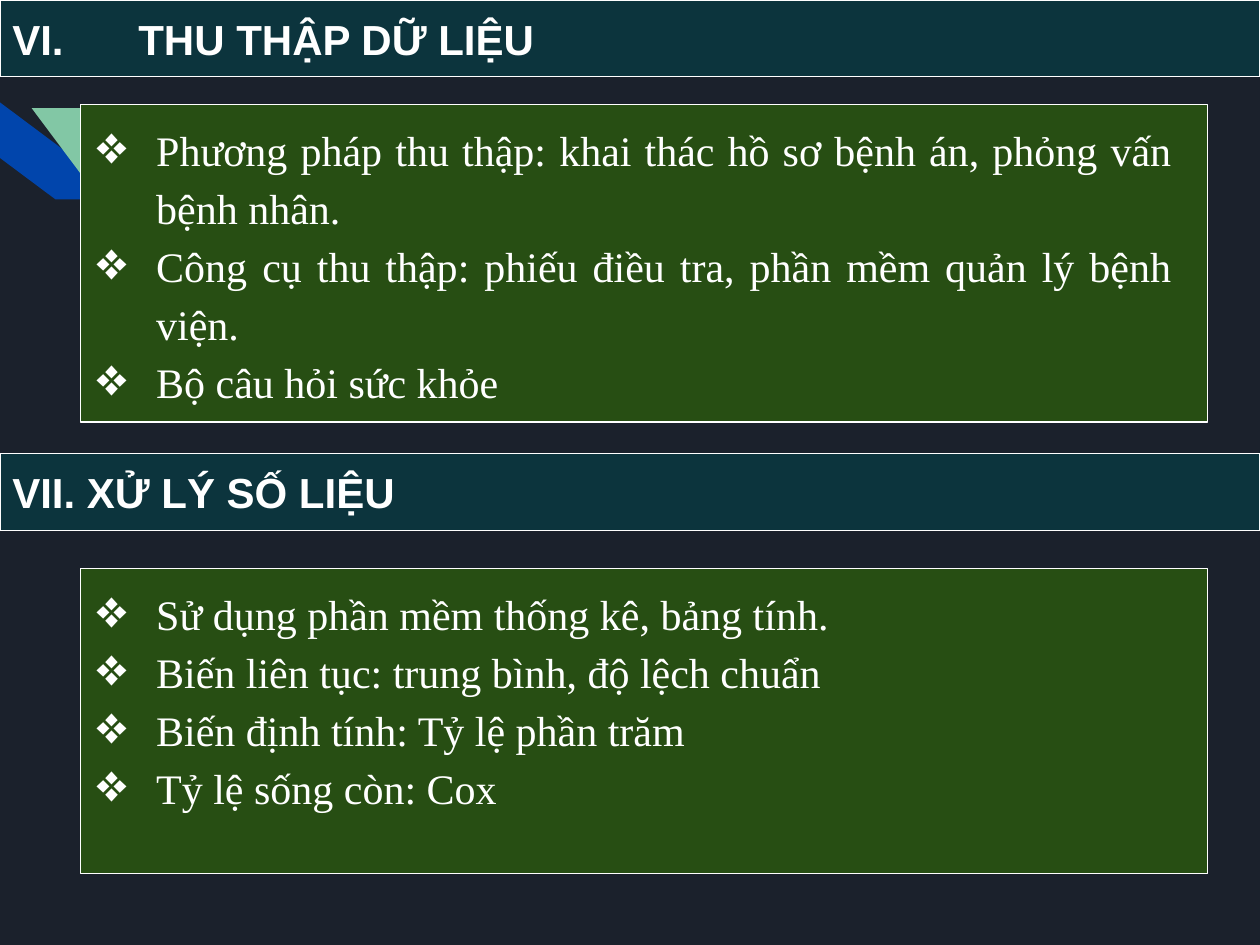
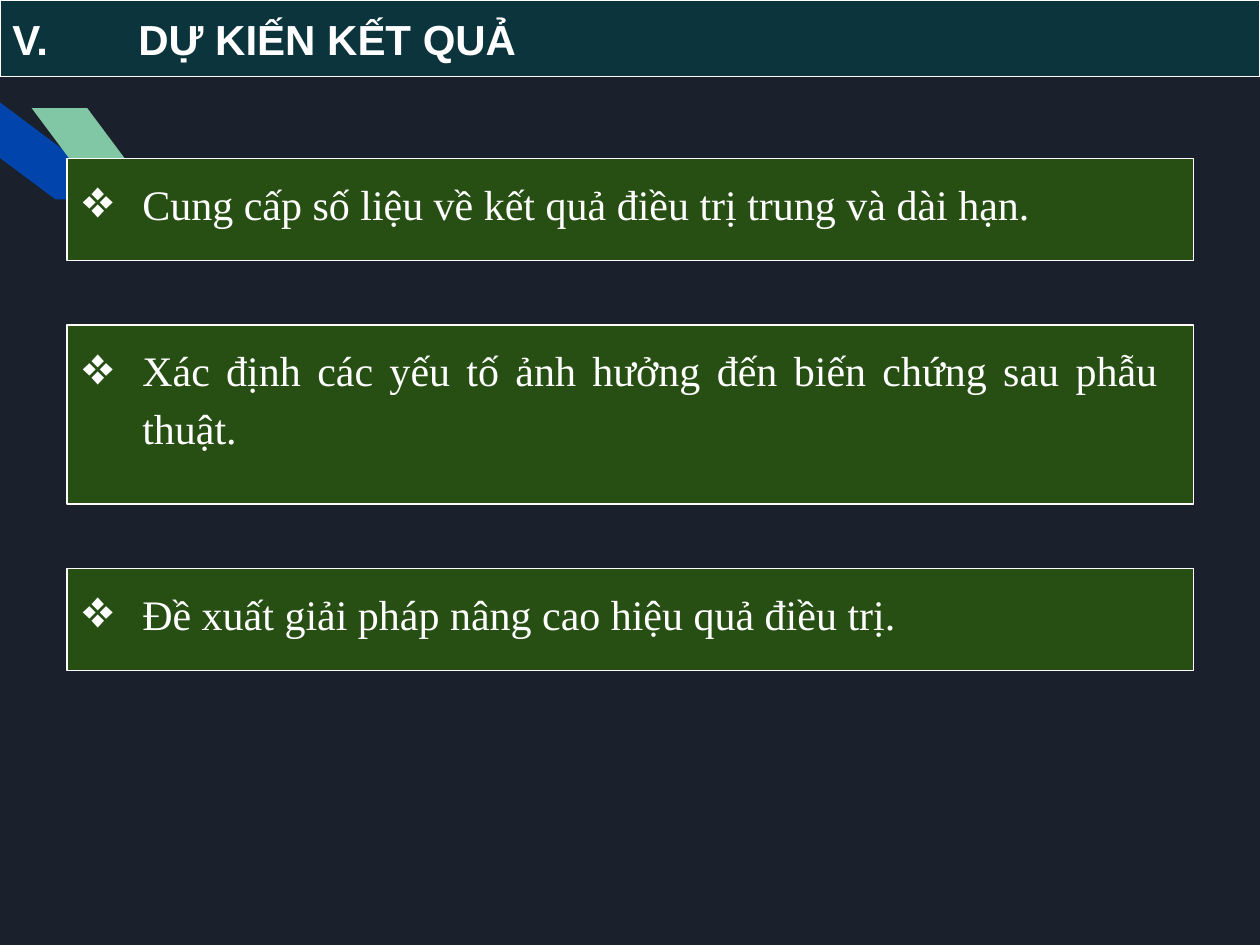
from lxml import etree
from pptx import Presentation
from pptx.dml.color import RGBColor
from pptx.enum.shapes import MSO_SHAPE
from pptx.enum.text import MSO_ANCHOR, PP_ALIGN
from pptx.oxml.ns import qn
from pptx.util import Cm, Pt

RECTANGLE = MSO_SHAPE.RECTANGLE
STRIPE = MSO_SHAPE.DIAGONAL_STRIPE
TOP, MIDDLE = MSO_ANCHOR.TOP, MSO_ANCHOR.MIDDLE
LEFT, JUSTIFY = PP_ALIGN.LEFT, PP_ALIGN.JUSTIFY

COLORS = {
    "background": "1B212C",
    "heading": "0C343D",
    "panel": "274E13",
    "blue": "0145AC",
    "green": "82C7A5",
    "white": "FFFFFF",
}
SLIDE_WIDTH, SLIDE_HEIGHT = 25.4, 19.05
HEADING_HEIGHT = 1.55
PANEL_WIDTH = 22.71
RESULT_TOP, RESULT_GAP = 3.19, 1.3
INDENT, BULLET_OFFSET, RIGHT_MARGIN = Cm(1.27), Cm(-1.23), Cm(0.47)
HEADING_TAB = Cm(2.54)


def add_filled(slide, kind, box, color):
    shape = slide.shapes.add_shape(kind, *[Cm(length) for length in box])
    shape.shadow.inherit = False
    shape.fill.solid()
    shape.fill.fore_color.rgb = RGBColor.from_string(COLORS[color])
    shape.line.fill.background()
    return shape


def add_text_block(slide, box, color, lines, font_name, bulleted):
    block = add_filled(slide, RECTANGLE, box, color)
    block.line.color.rgb = RGBColor.from_string(COLORS["white"])
    block.line.width = Pt(0.75)
    frame = block.text_frame
    frame.word_wrap = True
    frame.margin_left = frame.margin_right = Cm(0.25)
    frame.margin_top = frame.margin_bottom = Cm(0.25)
    frame.vertical_anchor = TOP if bulleted else MIDDLE
    frame.text = "\n".join(lines)
    for paragraph in frame.paragraphs:
        paragraph.alignment = JUSTIFY if bulleted else LEFT
        for run in paragraph.runs:
            run.font.name = font_name
            run.font.size = Pt(24)
            run.font.bold = not bulleted
            run.font.color.rgb = RGBColor.from_string(COLORS["white"])
        properties = paragraph._p.get_or_add_pPr()
        if bulleted:
            paragraph.line_spacing = 1.15
            properties.set("marL", str(INDENT))
            properties.set("marR", str(RIGHT_MARGIN))
            properties.set("indent", str(BULLET_OFFSET))
            bullet_color = etree.SubElement(properties, qn("a:buClr"))
            etree.SubElement(bullet_color, qn("a:srgbClr"), val=COLORS["white"])
            etree.SubElement(properties, qn("a:buFont"), typeface=font_name)
            etree.SubElement(properties, qn("a:buChar"), char="❖")
        else:
            tab_stops = etree.SubElement(properties, qn("a:tabLst"))
            etree.SubElement(tab_stops, qn("a:tab"), pos=str(HEADING_TAB), algn="l")


# Content: headings as (top, text), panels as (top, height, bullet lines)
methods_headings = [(0, "VI.\tTHU THẬP DỮ LIỆU"), (9.14, "VII. XỬ LÝ SỐ LIỆU")]
methods_panels = [
    (2.11, 6.4, [
        "Phương pháp thu thập: khai thác hồ sơ bệnh án, phỏng vấn bệnh nhân.",
        "Công cụ thu thập: phiếu điều tra, phần mềm quản lý bệnh viện.",
        "Bộ câu hỏi sức khỏe",
    ]),
    (11.46, 6.15, [
        "Sử dụng phần mềm thống kê, bảng tính.",
        "Biến liên tục: trung bình, độ lệch chuẩn",
        "Biến định tính: Tỷ lệ phần trăm",
        "Tỷ lệ sống còn: Cox",
    ]),
]

# Expected results stack downwards with an equal gap
results_headings = [(0, "V.\tDỰ KIẾN KẾT QUẢ")]
results_panels = []
result_top = RESULT_TOP
for height, result in [
    (2.06, "Cung cấp số liệu về kết quả điều trị trung và dài hạn."),
    (3.61, "Xác định các yếu tố ảnh hưởng đến biến chứng sau phẫu thuật."),
    (2.06, "Đề xuất giải pháp nâng cao hiệu quả điều trị."),
]:
    results_panels.append((result_top, height, [result]))
    result_top += height + RESULT_GAP

presentation = Presentation()
presentation.slide_width = Cm(SLIDE_WIDTH)
presentation.slide_height = Cm(SLIDE_HEIGHT)
blank_layout = presentation.slide_layouts[6]

for headings, panels, panel_left in [
    (methods_headings, methods_panels, 1.63),
    (results_headings, results_panels, 1.35),
]:
    slide = presentation.slides.add_slide(blank_layout)
    slide.background.fill.solid()
    slide.background.fill.fore_color.rgb = RGBColor.from_string(COLORS["background"])

    # Corner stripes
    blue_stripe = add_filled(slide, STRIPE, (0, 1.4, 2.24, 3), "blue")
    blue_stripe.rotation = 270
    green_stripe = add_filled(slide, STRIPE, (0.64, 2.18, 2.24, 3), "green")
    green_stripe._element.spPr.find(qn("a:xfrm")).set("flipH", "1")

    # Section headings
    for top, heading in headings:
        add_text_block(slide, (0, top, SLIDE_WIDTH, HEADING_HEIGHT),
                       "heading", [heading], "Arial", False)

    # Bulleted panels
    for top, height, lines in panels:
        add_text_block(slide, (panel_left, top, PANEL_WIDTH, height),
                       "panel", lines, "Times New Roman", True)

presentation.save("out.pptx")
